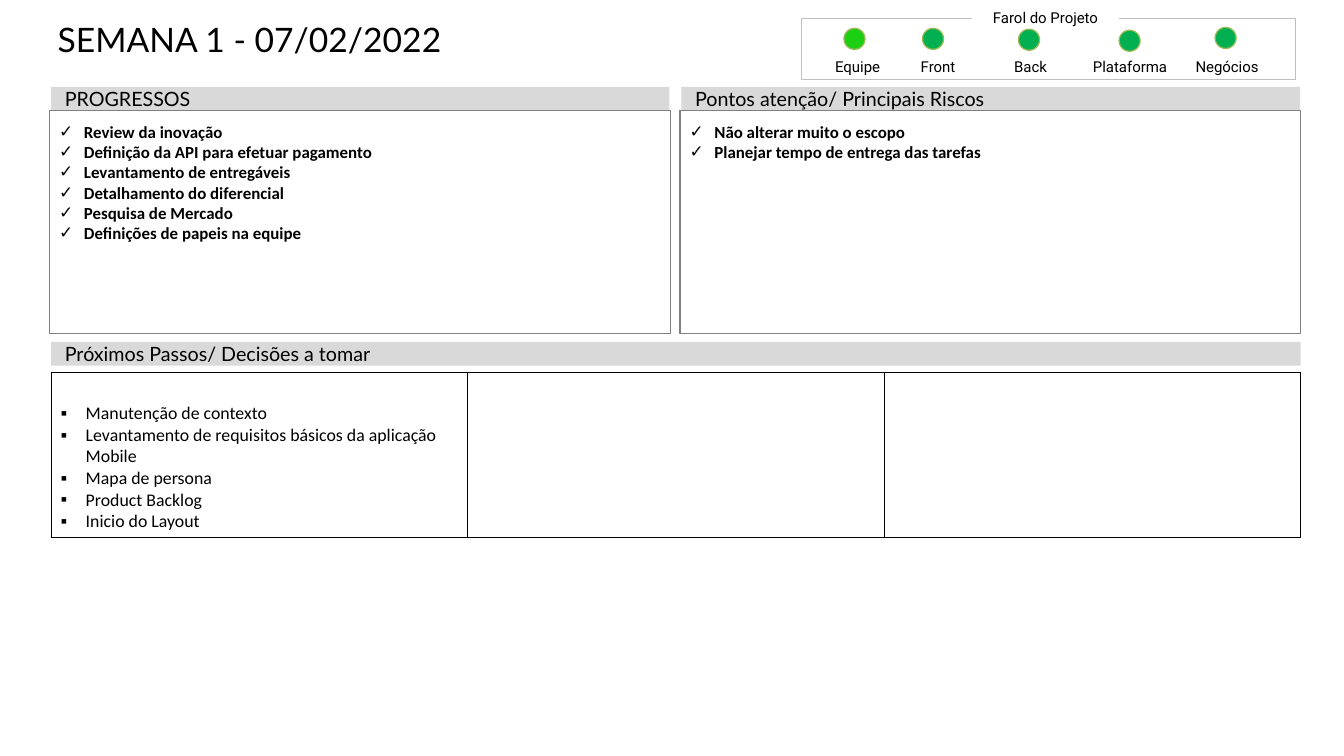
from lxml.etree import SubElement
from pptx import Presentation
from pptx.dml.color import RGBColor
from pptx.enum.shapes import MSO_SHAPE
from pptx.enum.text import MSO_ANCHOR, PP_ALIGN
from pptx.oxml.ns import qn
from pptx.util import Pt

rgb = RGBColor.from_string
RECT, OVAL = MSO_SHAPE.RECTANGLE, MSO_SHAPE.OVAL
TOP, MID, LOW = MSO_ANCHOR.TOP, MSO_ANCHOR.MIDDLE, MSO_ANCHOR.BOTTOM


def write(frame, text, font="Lato", size=15.5, bold=False,
          align=PP_ALIGN.LEFT, bullet=None):
    """Fill a text frame, one paragraph per line of text."""
    for i, line in enumerate(text.split("\n")):
        para = frame.add_paragraph() if i else frame.paragraphs[0]
        para.alignment = align
        run = para.add_run()
        run.text = line
        run.font.name, run.font.size, run.font.bold = font, Pt(size), bold
        run.font.color.rgb = rgb("000000")
        if bullet:
            props = para._p.get_or_add_pPr()
            props.set("marL", str(Pt(20)))
            props.set("indent", str(Pt(-19.5)))
            SubElement(props, qn("a:buFont")).set("typeface", "Calibri")
            SubElement(props, qn("a:buChar")).set("char", bullet)


def box(kind, left, top, width, height, fill=None, line=None, weight=1,
        text="", pad=(0, 0, 0, 0), anchor=TOP, wrap=True, **style):
    """Add a preset shape, or a text box when kind is None."""
    area = Pt(left), Pt(top), Pt(width), Pt(height)
    if kind is None:
        shape = slide.shapes.add_textbox(*area)
    else:
        shape = slide.shapes.add_shape(kind, *area)
        shape.shadow.inherit = False
    if fill:
        shape.fill.solid()
        shape.fill.fore_color.rgb = rgb(fill)
    else:
        shape.fill.background()
    if line:
        shape.line.color.rgb = rgb(line)
        shape.line.width = Pt(weight)
    else:
        shape.line.fill.background()
    if text:
        frame = shape.text_frame
        frame.word_wrap, frame.vertical_anchor = wrap, anchor
        (frame.margin_left, frame.margin_top,
         frame.margin_right, frame.margin_bottom) = map(Pt, pad)
        write(frame, text, **style)


deck = Presentation()
deck.slide_width, deck.slide_height = Pt(1058.4), Pt(595.4)
slide = deck.slides.add_slide(deck.slide_layouts[6])

# Title
box(None, 36.7, 14.8, 952.6, 62.6, text="SEMANA 1 - 07/02/2022",
    pad=(8.8, 0, 8.8, 0), size=26.5)

# Section bars
bars = [
    (40.3, 68.4, 486.9, "PROGRESSOS"),
    (536.6, 68.4, 487.4, "Pontos atenção/ Principais Riscos"),
    (40.3, 269.3, 984, "Próximos Passos/ Decisões a tomar"),
]
for left, top, width, title in bars:
    box(RECT, left, top, width, 18.7, fill="D9D9D9", text=title,
        pad=(10.8, 0, 10.8, 0), anchor=MID)

# Progress and risk panels
done = """Review da inovação
Definição da API para efetuar pagamento
Levantamento de entregáveis
Detalhamento do diferencial
Pesquisa de Mercado
Definições de papeis na equipe"""
risks = """Não alterar muito o escopo
Planejar tempo de entrega das tarefas"""
for left, items in [(39, done), (535.5, risks)]:
    box(RECT, left, 87.1, 488.9, 175.7, line="808080", text=items,
        pad=(7.2, 8.6, 7.2, 3.6), font="Calibri", size=13.3, bold=True,
        bullet="✓")

# Next steps table
steps = """Manutenção de contexto
Levantamento de requisitos básicos da aplicação Mobile
Mapa de persona
Product Backlog
Inicio do Layout"""
grid = slide.shapes.add_table(1, 3, Pt(40.3), Pt(293.3), Pt(984),
                              Pt(130.2)).table
grid.first_row = grid.horz_banding = False
for cell in grid.rows[0].cells:
    props = cell._tc.get_or_add_tcPr()
    for side in ("lnL", "lnR", "lnT", "lnB"):
        edge = SubElement(props, qn("a:" + side))
        edge.set("w", str(Pt(1)))
        ink = SubElement(edge, qn("a:solidFill"))
        SubElement(ink, qn("a:srgbClr")).set("val", "000000")
    cell.fill.background()
first = grid.cell(0, 0)
first.margin_top = Pt(23.8)
write(first.text_frame, steps, font="Calibri", size=14, bullet="▪")

# Project status lights
label = dict(pad=(4.3, 4.3, 4.3, 0), anchor=LOW, wrap=False, font="Roboto",
             size=11.8, align=PP_ALIGN.CENTER)
box(RECT, 631.4, 14.4, 388.8, 48.2, line="BFBFBF", weight=0.5)
box(RECT, 765.4, 4.3, 115.9, 16.6, fill="FFFFFF", text="Farol do Projeto",
    **label)
lights = [
    ("Equipe", 640.1, 664.6, 22.3, "1BCF13"),
    ("Front", 703.4, 726.5, 22.3, "00B050"),
    ("Back", 776.2, 802.1, 23, "00B050"),
    ("Plataforma", 854.6, 881.3, 23.8, "00B050"),
    ("Negócios", 931, 956.9, 21.6, "00B050"),
]
for name, left, dot, top, color in lights:
    box(OVAL, dot, top, 16.6, 16.6, fill=color, line="9BBB59")
    box(None, left, 45.4, 70.6, 13.7, text=name, **label)

deck.save("out.pptx")
